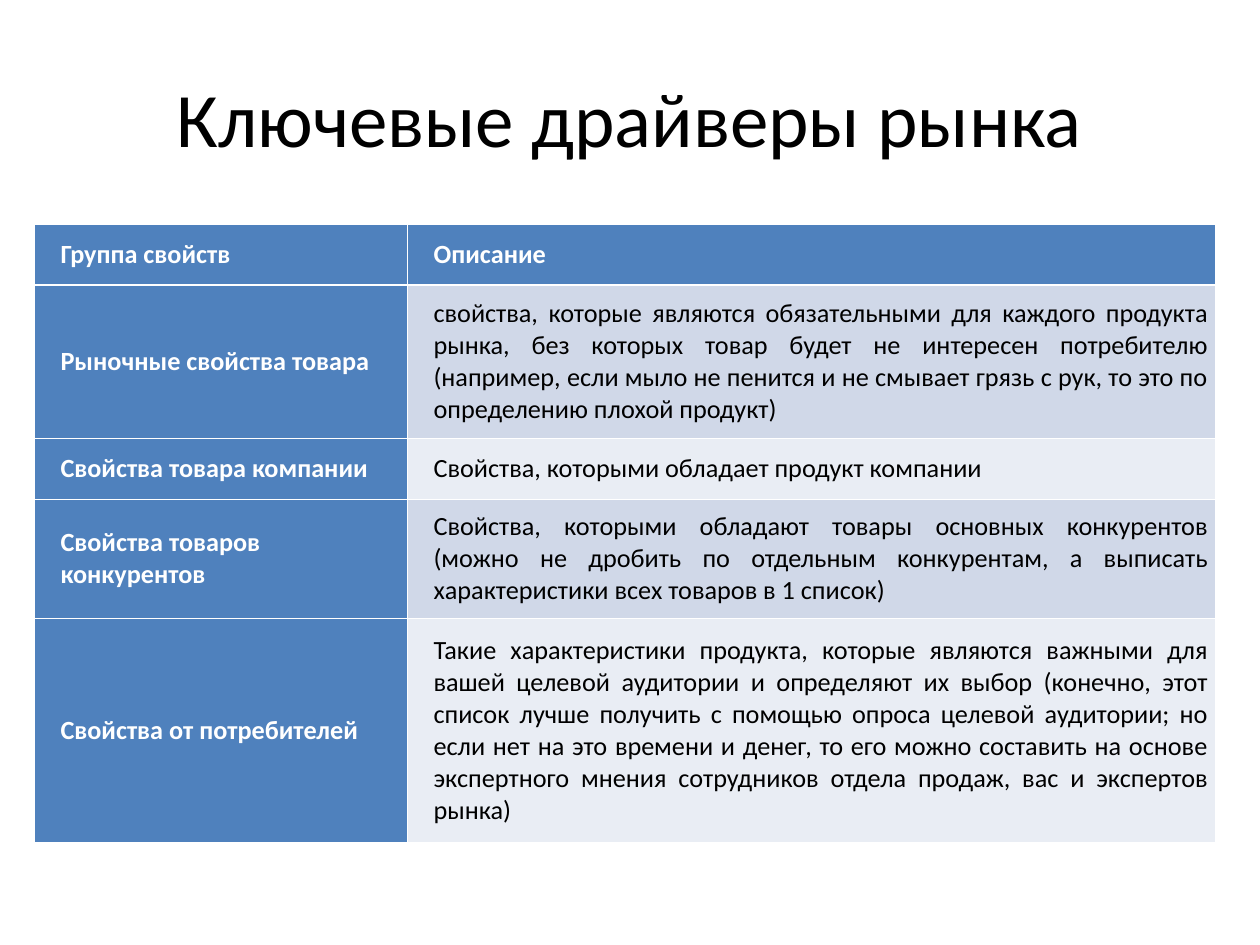
from dataclasses import dataclass

from lxml.etree import SubElement
from pptx import Presentation
from pptx.dml.color import RGBColor
from pptx.enum.text import MSO_ANCHOR, PP_ALIGN
from pptx.oxml.ns import qn
from pptx.slide import Slide
from pptx.table import _Cell
from pptx.util import Cm, Pt

FONT = "Calibri"
COLORS = {
    "accent": "4F81BD",
    "dark_band": "D0D8E8",
    "light_band": "E9EDF4",
    "light": "FFFFFF",
    "dark": "000000",
}
COLUMN_WIDTHS = (7.52, 16.28)
THIN_BORDER, HEADER_BORDER = 0.45, 1.47


@dataclass
class TableRow:
    group: str
    description: str
    height: float
    group_alignment: PP_ALIGN = PP_ALIGN.JUSTIFY


ROWS = [
    TableRow("Группа свойств", "Описание", 1.22),
    TableRow(
        "Рыночные свойства товара",
        "свойства, которые являются обязательными для каждого продукта рынка, "
        "без которых товар будет не интересен потребителю (например, если мыло "
        "не пенится и не смывает грязь с рук, то это по определению плохой продукт)",
        3.1,
    ),
    TableRow(
        "Свойства товара компании",
        "Свойства, которыми обладает продукт компании",
        1.22,
    ),
    TableRow(
        "Свойства товаров конкурентов",
        "Свойства, которыми обладают товары основных конкурентов (можно не дробить "
        "по отдельным конкурентам, а выписать характеристики всех товаров в 1 список)",
        2.41,
        PP_ALIGN.LEFT,
    ),
    TableRow(
        "Свойства от потребителей",
        "Такие характеристики продукта, которые являются важными для вашей целевой "
        "аудитории и определяют их выбор (конечно, этот список лучше получить с "
        "помощью опроса целевой аудитории; но если нет на это времени и денег, то "
        "его можно составить на основе экспертного мнения сотрудников отдела продаж, "
        "вас и экспертов рынка)",
        4.52,
    ),
]


def color(name: str) -> RGBColor:
    return RGBColor.from_string(COLORS[name])


def set_borders(cell: _Cell, top: float, bottom: float) -> None:
    """Draw light borders; must run before the cell gets its fill."""
    properties = cell._tc.get_or_add_tcPr()
    widths = {"lnL": THIN_BORDER, "lnR": THIN_BORDER, "lnT": top, "lnB": bottom}
    for tag, width in widths.items():
        line = SubElement(properties, qn(f"a:{tag}"), w=str(Pt(width)))
        fill = SubElement(line, qn("a:solidFill"))
        SubElement(fill, qn("a:srgbClr"), val=COLORS["light"])


def fill_cell(cell: _Cell, text: str, alignment: PP_ALIGN, fill: str) -> None:
    is_heading = fill == "accent"
    cell.fill.solid()
    cell.fill.fore_color.rgb = color(fill)
    cell.vertical_anchor = MSO_ANCHOR.MIDDLE
    cell.margin_left = Cm(0.53)
    cell.margin_right = cell.margin_top = cell.margin_bottom = Cm(0.13)
    cell.text = text
    paragraph = cell.text_frame.paragraphs[0]
    paragraph.alignment = alignment
    paragraph.font.name = FONT
    paragraph.font.size = Pt(15)
    paragraph.font.bold = is_heading
    paragraph.font.color.rgb = color("light" if is_heading else "dark")


def add_title(slide: Slide, text: str) -> None:
    title = slide.shapes.title
    title.left, title.top = Cm(1.27), Cm(0.76)
    title.width, title.height = Cm(22.86), Cm(3.18)
    title.text = text
    title.text_frame.vertical_anchor = MSO_ANCHOR.MIDDLE
    paragraph = title.text_frame.paragraphs[0]
    paragraph.alignment = PP_ALIGN.CENTER
    paragraph.font.name = FONT
    paragraph.font.size = Pt(44)
    paragraph.font.color.rgb = color("dark")


def add_drivers_table(slide: Slide, rows: list[TableRow]) -> None:
    table = slide.shapes.add_table(
        len(rows), len(COLUMN_WIDTHS), Cm(0.69), Cm(4.52),
        Cm(sum(COLUMN_WIDTHS)), Cm(sum(row.height for row in rows)),
    ).table
    for column, width in zip(table.columns, COLUMN_WIDTHS):
        column.width = Cm(width)
    for index, row in enumerate(rows):
        table.rows[index].height = Cm(row.height)
        band = "dark_band" if index % 2 else "light_band"
        group, description = table.cell(index, 0), table.cell(index, 1)
        for cell in (group, description):
            set_borders(
                cell,
                top=HEADER_BORDER if index == 1 else THIN_BORDER,
                bottom=HEADER_BORDER if index == 0 else THIN_BORDER,
            )
        fill_cell(group, row.group, row.group_alignment, "accent")
        fill_cell(description, row.description, PP_ALIGN.JUSTIFY,
                  band if index else "accent")


def main() -> None:
    presentation = Presentation()
    presentation.slide_width, presentation.slide_height = Cm(25.4), Cm(19.05)
    slide = presentation.slides.add_slide(presentation.slide_layouts[5])
    add_title(slide, "Ключевые драйверы рынка")
    add_drivers_table(slide, ROWS)
    presentation.save("out.pptx")


if __name__ == "__main__":
    main()
